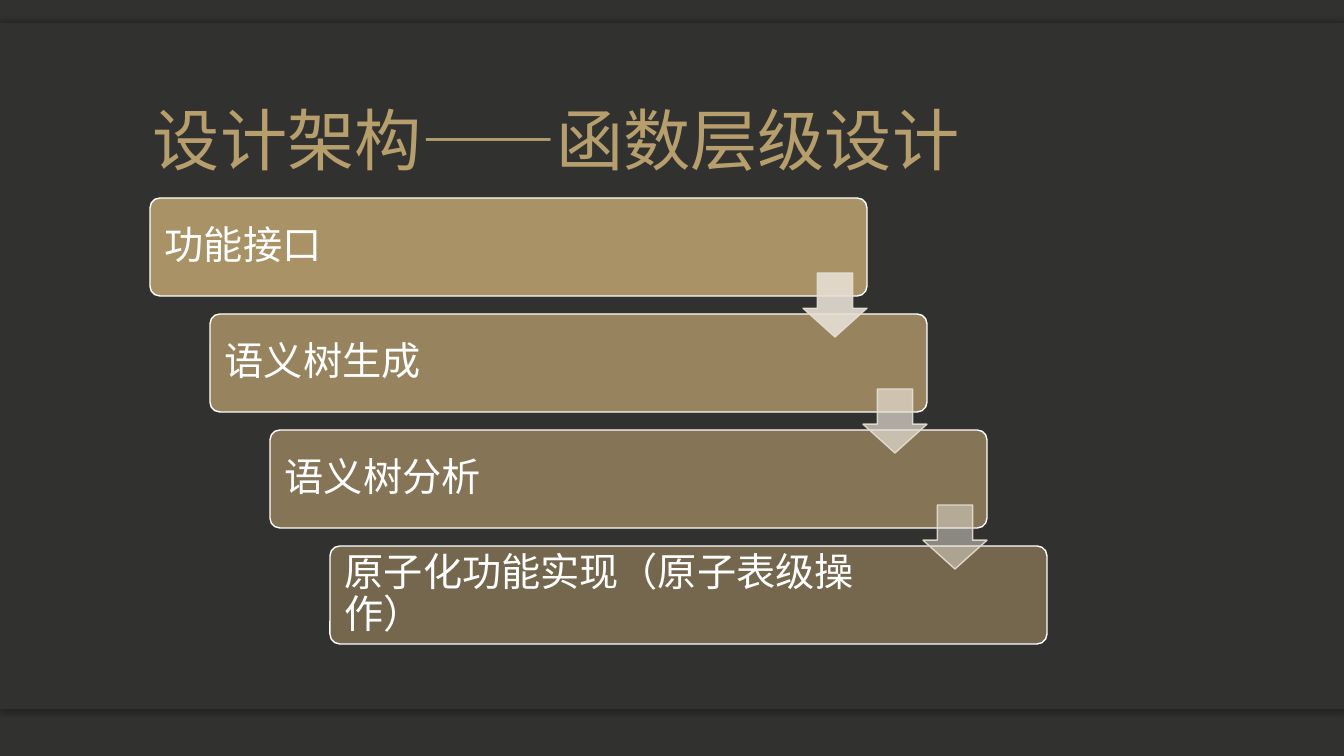
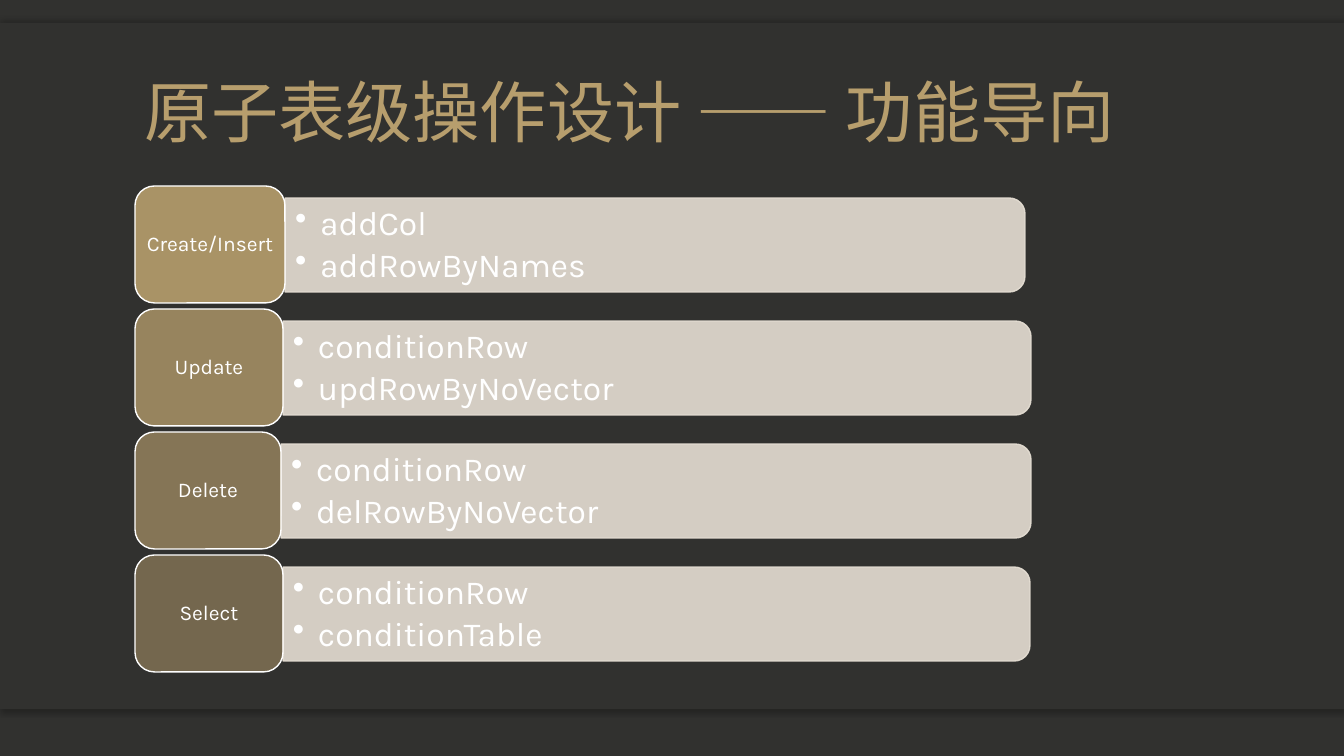
from lxml.etree import SubElement
from pptx import Presentation
from pptx.dml.color import RGBColor
from pptx.enum.shapes import MSO_SHAPE as Kind
from pptx.enum.text import MSO_ANCHOR as Anchor, MSO_AUTO_SIZE as AutoSize, PP_ALIGN as Align
from pptx.oxml.ns import qn
from pptx.util import Emu, Pt

WIDTH, HEIGHT = 1344, 756
SCALE = 12192000 / WIDTH
COLORS = {"dark": "31312F", "gold": "B79E6D", "sand": "E6DFD4", "white": "FFFFFF", "shadow": "000000"}
CJK, LATIN = "Noto Sans CJK SC", "Karla"
FADES = (90, 77, 63, 50)


def px(length):
    return Emu(round(length * SCALE))


def color(name):
    return RGBColor.from_string(COLORS[name])


def write(frame, text, size, font=LATIN, ink="white", align=Align.LEFT, anchor=Anchor.MIDDLE,
          margins=(10, 5, 10, 5), bullet=None, after=0):
    frame.word_wrap = True
    frame.auto_size = AutoSize.NONE
    frame.vertical_anchor = anchor
    frame.margin_left, frame.margin_top, frame.margin_right, frame.margin_bottom = map(px, margins)
    for index, line in enumerate(text.split("\n")):
        para = frame.add_paragraph() if index else frame.paragraphs[0]
        para.alignment = align
        para.line_spacing = 0.9
        para.space_before = Pt(0)
        para.space_after = Pt(after)
        if bullet:
            props = para._p.get_or_add_pPr()
            props.set("marL", str(px(25)))
            props.set("indent", str(-px(25)))
            SubElement(props, qn("a:buChar"), char=bullet)
        span = para.add_run()
        span.text = line
        span.font.size = Pt(size)
        span.font.name = font
        span.font.color.rgb = color(ink)
        SubElement(span.font._element, qn("a:ea"), typeface=CJK)


class Slides:
    def __init__(self):
        self.deck = Presentation()
        self.deck.slide_width, self.deck.slide_height = px(WIDTH), px(HEIGHT)
        self.layout = self.deck.slide_layouts[5]
        self.page = None
        fill = self.deck.slide_master.background.fill
        fill.solid()
        fill.fore_color.rgb = color("dark")

    def start(self, title, left, top, width, height):
        first = self.page is None
        self.page = self.deck.slides.add_slide(self.layout)
        if first:
            self.dress_layout()
        box = self.page.shapes.title
        box.left, box.top, box.width, box.height = map(px, (left, top, width, height))
        write(box.text_frame, title, size=48, font=CJK, ink="gold", anchor=Anchor.BOTTOM)

    def dress_layout(self):
        bands = ((660, 49, 90), (23, 49, 270), (23, 686, None))
        for index, (top, height, angle) in enumerate(bands):
            band = self.shape(Kind.RECTANGLE, 0, top, WIDTH, height, "dark")
            if angle:
                self.cast_shadow(band, angle)
            band.element.nvSpPr.cNvPr.set("id", str(101 + index))
            self.layout.shapes.element.insert(2 + index, band.element)

    def cast_shadow(self, shape, angle):
        effects = shape.element.spPr.find(qn("a:effectLst"))
        shadow = SubElement(effects, qn("a:outerShdw"), blurRad=str(Pt(4)), dist=str(Pt(2)),
                            dir=str(angle * 60000), algn="ctr", rotWithShape="0")
        tint = SubElement(shadow, qn("a:srgbClr"), val=COLORS["shadow"])
        SubElement(tint, qn("a:alpha"), val="25000")

    def shape(self, kind, left, top, width, height, fill, opacity=100, line=None, line_opacity=100, adjust=()):
        shape = self.page.shapes.add_shape(kind, *map(px, (left, top, width, height)))
        shape.shadow.inherit = False
        shape.fill.solid()
        shape.fill.fore_color.rgb = color(fill)
        if line:
            shape.line.color.rgb = color(line)
            shape.line.width = Pt(1)
        else:
            shape.line.fill.background()
        for index, value in enumerate(adjust):
            shape.adjustments[index] = value
        for place, share in (("a:solidFill", opacity), ("a:ln/a:solidFill", line_opacity)):
            if share < 100:
                for tint in shape.element.spPr.xpath(place + "/a:srgbClr"):
                    SubElement(tint, qn("a:alpha"), val=str(share * 1000))
        return shape

    def step(self, text, left, top, opacity):
        box = self.shape(Kind.ROUNDED_RECTANGLE, left, top, 717, 98, "gold", opacity, "white", adjust=(0.1,))
        write(box.text_frame, text, size=28, margins=(12, 12, 136, 12))

    def arrow(self, left, top, opacity):
        self.shape(Kind.DOWN_ARROW, left, top, 64, 64, "sand", opacity, "sand", 90, adjust=(0.55, 0.45))

    def badge(self, text, left, top, width, opacity):
        box = self.shape(Kind.ROUNDED_RECTANGLE, left, top, width, 117, "gold", opacity, "white")
        write(box.text_frame, text, size=15, align=Align.CENTER, margins=(6, 3, 6, 3))

    def bar(self, text, left, top, width):
        height = 94
        shift = (width - height) / 2
        bar = self.shape(Kind.ROUND_2_SAME_RECTANGLE, left + shift, top - shift, height, width,
                         "sand", 90, "sand", 90)
        bar.rotation = 90
        box = self.page.shapes.add_textbox(*map(px, (left, top + 5, width - 5, 85)))
        write(box.text_frame, text, size=24, bullet="•", after=4.2)


def build_levels(slides):
    slides.start("设计架构——函数层级设计", 143, 46, 1058, 139)
    steps = ("功能接口", "语义树生成", "语义树分析", "原子化功能实现（原子表级操作）")
    for index, (text, fade) in enumerate(zip(steps, FADES)):
        slides.step(text, 150 + 60 * index, 198 + 116 * index, fade)
    for index, fade in enumerate((90, 70, 50)):
        slides.arrow(803 + 60 * index, 273 + 116 * index, fade)


def build_operations(slides):
    slides.start("原子表级操作设计 —— 功能导向", 134, 69, 1058, 88)
    operations = (
        ("Create/Insert", "addCol\naddRowByNames", 285, 1025),
        ("Update", "conditionRow\nupdRowByNoVector", 283, 1031),
        ("Delete", "conditionRow\ndelRowByNoVector", 281, 1031),
        ("Select", "conditionRow\nconditionTable", 283, 1030),
    )
    left = 135
    for index, (name, functions, middle, right) in enumerate(operations):
        top = 186 + 123 * index
        slides.bar(functions, middle, top + 12, right - middle)
        slides.badge(name, left, top, middle - left, FADES[index])


def main():
    slides = Slides()
    build_levels(slides)
    build_operations(slides)
    slides.deck.save("out.pptx")


if __name__ == "__main__":
    main()
